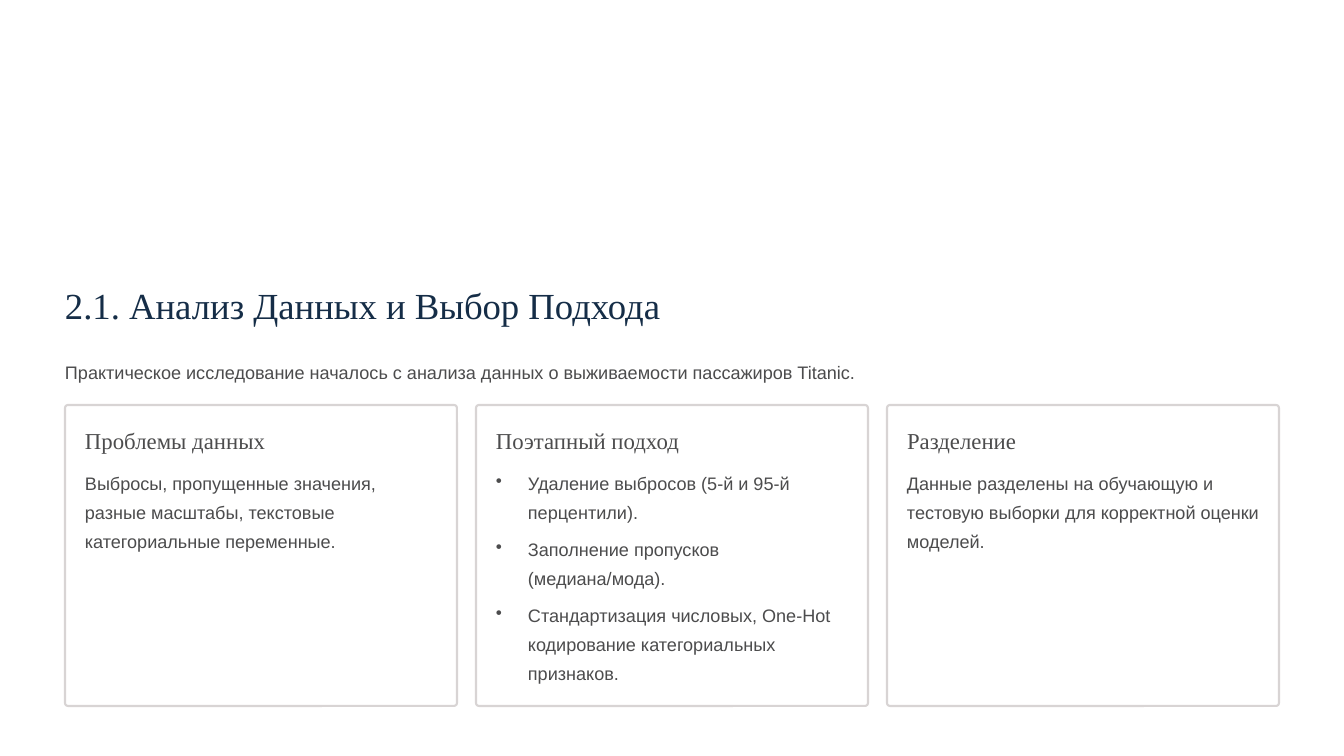
from lxml import etree
from pptx import Presentation
from pptx.dml.color import RGBColor
from pptx.enum.shapes import MSO_SHAPE
from pptx.oxml.ns import qn
from pptx.util import Emu, Pt

SERIF, SANS = "Times New Roman", "Arial"
NAVY, GREY, BORDER, WHITE = "152D47", "4C4C4D", "D8D4D4", "FFFFFF"
TITLE = dict(name=SERIF, size=31.5, color=NAVY, leading=39.5)
HEADING = dict(name=SERIF, size=19.5, color=GREY, leading=24.5)
BODY = dict(name=SANS, size=15.5, color=GREY, leading=25)

LEFT, CARD_TOP, CARD_W, CARD_H, CARD_STEP = 65, 405, 392, 301, 411
PAD, BODY_TOP, BODY_W, LINE_H, BULLET_STEP, INDENT = 20, 465, 352, 29, 66, 32


def px(n):
    return Emu(round(n * 914400 / 84))


def add_text(text, x, y, w, h, style, wrap=False, bullet=False):
    tf = s.shapes.add_textbox(px(x), px(y), px(w), px(h)).text_frame
    tf.word_wrap = wrap
    for side in ("left", "top", "right", "bottom"):
        setattr(tf, f"margin_{side}", 0)
    p = tf.paragraphs[0]
    p.line_spacing = Pt(style["leading"])
    r = p.add_run()
    r.text = text
    r.font.name = style["name"]
    r.font.size = Pt(style["size"])
    r.font.color.rgb = RGBColor.from_string(style["color"])
    if bullet:
        pPr = p._p.get_or_add_pPr()
        pPr.set("marL", str(px(INDENT)))
        pPr.set("indent", str(-px(INDENT)))
        etree.SubElement(pPr, qn("a:buChar")).set("char", "•")


prs = Presentation()
prs.slide_width, prs.slide_height = px(1344), px(756)
s = prs.slides.add_slide(prs.slide_layouts[6])
s.background.fill.solid()
s.background.fill.fore_color.rgb = RGBColor.from_string(WHITE)

add_text("2.1. Анализ Данных и Выбор Подхода", LEFT, 281, 651, 46, TITLE)
add_text("Практическое исследование началось с анализа данных о выживаемости пассажиров Titanic.",
         LEFT, 354, 1215, LINE_H, BODY)

# Heading, then (text, number of lines) for each block of the card
cards = [
    ("Проблемы данных", [
        ("Выбросы, пропущенные значения, разные масштабы, текстовые категориальные переменные.", 3),
    ]),
    ("Поэтапный подход", [
        ("Удаление выбросов (5-й и 95-й перцентили).", 2),
        ("Заполнение пропусков (медиана/мода).", 2),
        ("Стандартизация числовых, One-Hot кодирование категориальных признаков.", 3),
    ]),
    ("Разделение", [
        ("Данные разделены на обучающую и тестовую выборки для корректной оценки моделей.", 3),
    ]),
]

for i, (heading, blocks) in enumerate(cards):
    x = LEFT + i * CARD_STEP
    sp = s.shapes.add_shape(MSO_SHAPE.ROUNDED_RECTANGLE, px(x), px(CARD_TOP), px(CARD_W), px(CARD_H))
    sp.adjustments[0] = 0.01
    sp.shadow.inherit = False
    sp.fill.solid()
    sp.fill.fore_color.rgb = RGBColor.from_string(WHITE)
    sp.line.color.rgb = RGBColor.from_string(BORDER)
    sp.line.width = Pt(1.8)
    add_text(heading, x + PAD, 426, 230, LINE_H, HEADING)
    for j, (text, lines) in enumerate(blocks):
        add_text(text, x + PAD, BODY_TOP + j * BULLET_STEP, BODY_W, lines * LINE_H, BODY,
                 wrap=True, bullet=len(blocks) > 1)

prs.save("out.pptx")
